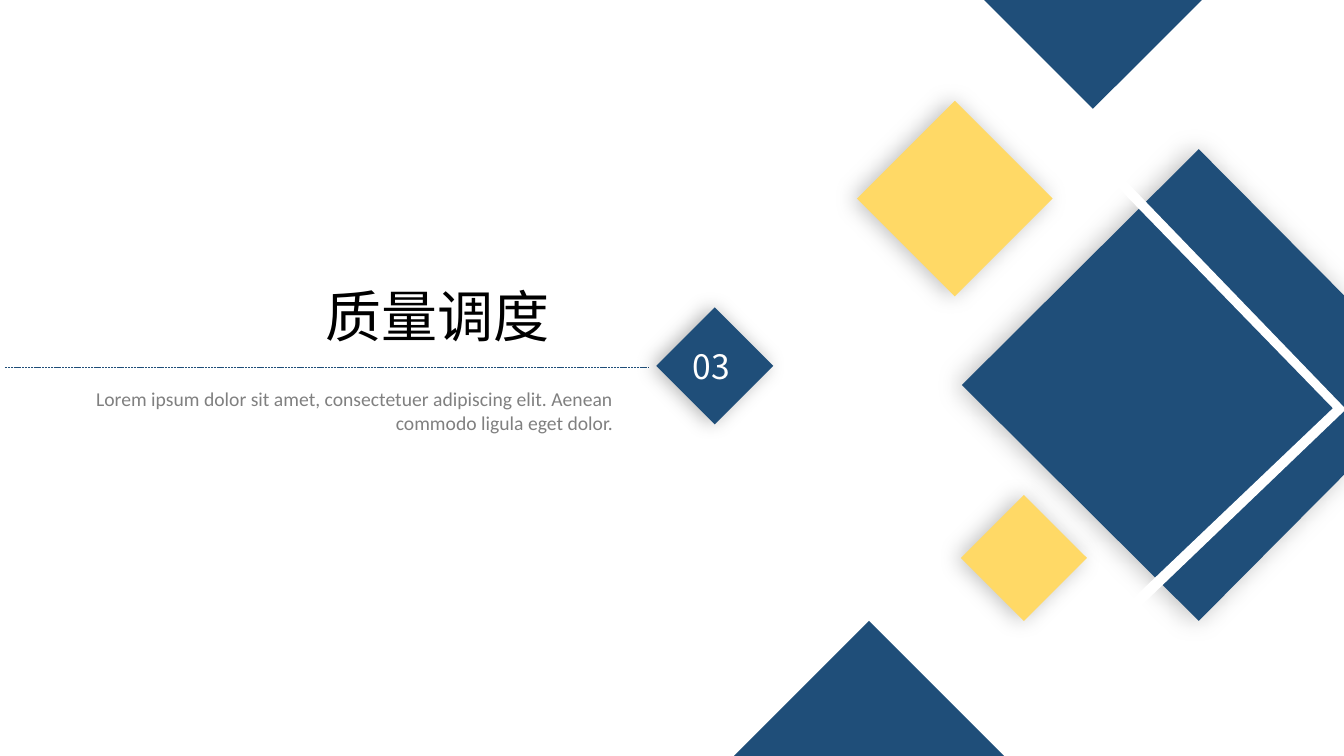
from lxml.etree import SubElement
from pptx import Presentation
from pptx.dml.color import RGBColor
from pptx.enum.dml import MSO_LINE
from pptx.enum.shapes import MSO_CONNECTOR, MSO_SHAPE
from pptx.enum.text import MSO_ANCHOR, MSO_AUTO_SIZE as AUTO_SIZE, PP_ALIGN as ALIGN
from pptx.oxml.ns import qn
from pptx.util import Inches, Pt

NAVY = RGBColor(0x1F, 0x4E, 0x79)
YELLOW = RGBColor(0xFF, 0xD9, 0x66)
GRAY = RGBColor(0x80, 0x80, 0x80)
BLACK = RGBColor(0, 0, 0)
WHITE = RGBColor(0xFF, 0xFF, 0xFF)
CJK_FONT = "Noto Sans CJK SC"
LATIN_FONT = "Calibri"


def add_soft_shadow(shape, blur, opacity):
    """Cast a blurred black shadow to the left of the shape."""
    effects = shape._element.spPr.find(qn("a:effectLst"))
    shadow = SubElement(effects, qn("a:outerShdw"), blurRad=str(Pt(blur)),
                        dist=str(Pt(3)), dir=str(180 * 60000),
                        algn="r", rotWithShape="0")
    color = SubElement(shadow, qn("a:srgbClr"), val=str(BLACK))
    SubElement(color, qn("a:alpha"), val=str(opacity * 1000))


def paint(shape, color, blur=0, opacity=25):
    shape.shadow.inherit = False
    shape.fill.solid()
    shape.fill.fore_color.rgb = color
    shape.line.fill.background()
    if blur:
        add_soft_shadow(shape, blur, opacity)


def add_diamond(slide, left, top, size, color, **shadow):
    diamond = slide.shapes.add_shape(MSO_SHAPE.DIAMOND, Inches(left), Inches(top),
                                     Inches(size), Inches(size))
    paint(diamond, color, **shadow)


def add_polygon(slide, left, top, points, color, **shadow):
    """Draw a closed outline whose points are offsets from left and top."""
    corners = [(Inches(left + x), Inches(top + y)) for x, y in points]
    builder = slide.shapes.build_freeform(*corners[0])
    builder.add_line_segments(corners[1:], close=True)
    paint(builder.convert_to_shape(), color, **shadow)


def write_text(holder, text, size, font, color, align=ALIGN.LEFT, wrap=False):
    frame = holder.text_frame
    frame.text = text
    frame.word_wrap = wrap
    frame.auto_size = AUTO_SIZE.SHAPE_TO_FIT_TEXT
    frame.vertical_anchor = MSO_ANCHOR.TOP
    paragraph = frame.paragraphs[0]
    paragraph.alignment = align
    run = paragraph.runs[0]
    run.font.size = Pt(size)
    run.font.name = font
    run.font.color.rgb = color
    SubElement(run._r.get_or_add_rPr(), qn("a:ea"), typeface=font)


def add_text(slide, left, top, width, height, text, **text_format):
    box = slide.shapes.add_textbox(Inches(left), Inches(top), Inches(width), Inches(height))
    write_text(box, text, **text_format)


def add_edge_triangles(slide, left, top, height):
    """Place one triangle hanging from the top edge and one standing on the bottom."""
    hanging, standing = 1.08, 1.34
    add_polygon(slide, left + 2.48, top,
                [(0, 0), (2 * hanging, 0), (hanging, hanging)], NAVY)
    add_polygon(slide, left, top + height - standing,
                [(standing, 0), (2 * standing, standing), (0, standing)], NAVY)


def add_large_diamond(slide, left, top):
    """Draw the diamond cut by the slide's right edge, with its white chevron."""
    add_polygon(slide, left, top,
                [(2.35, 0), (3.8, 1.46), (3.8, 3.22), (2.35, 4.68), (0, 2.34)],
                NAVY, blur=18)
    add_polygon(slide, left, top,
                [(1.62, 0.31), (3.8, 2.57), (3.8, 2.59), (1.63, 4.67),
                 (1.56, 4.59), (3.68, 2.57), (1.55, 0.38)], WHITE)


def add_decoration(slide, left, top, height):
    add_diamond(slide, left + 1.22, top + 1, 1.94, YELLOW, blur=16)
    add_edge_triangles(slide, left, top, height)
    add_large_diamond(slide, left + 2.26, top + 1.48)
    add_diamond(slide, left + 2.25, top + 4.91, 1.25, YELLOW, blur=16)


def add_section_heading(slide, left, top, width):
    """Place the title, dashed rule, summary and numbered diamond."""
    title = slide.shapes.title
    title.left, title.top = Inches(left + 3.08), Inches(top)
    title.width, title.height = Inches(2.45), Inches(0.77)
    write_text(title, "质量调度", size=40, font=CJK_FONT, color=BLACK)

    rule_y = Inches(top + 0.9)
    rule = slide.shapes.add_connector(MSO_CONNECTOR.STRAIGHT, Inches(left), rule_y,
                                      Inches(left + width - 1.24), rule_y)
    rule.line.color.rgb = NAVY
    rule.line.width = Pt(0.5)
    rule.line.dash_style = MSO_LINE.SQUARE_DOT
    SubElement(rule._element.spPr, qn("a:effectLst"))

    add_diamond(slide, left + width - 1.16, top + 0.31, 1.16, NAVY, blur=14, opacity=30)
    add_text(slide, left + 0.32, top + 1.05, 5.81, 0.57,
             "Lorem ipsum dolor sit amet, consectetuer adipiscing elit. "
             "Aenean commodo ligula eget dolor.",
             size=14, font=LATIN_FONT, color=GRAY, align=ALIGN.RIGHT, wrap=True)
    add_text(slide, left + width - 0.9, top + 0.64, 0.6, 0.5, "03",
             size=24, font=CJK_FONT, color=WHITE)


def main():
    deck = Presentation()
    deck.slide_width, deck.slide_height = Inches(13.33), Inches(7.5)
    slide = deck.slides.add_slide(deck.slide_layouts[5])
    slide.background.fill.solid()
    slide.background.fill.fore_color.rgb = WHITE
    add_decoration(slide, left=7.28, top=0, height=7.5)
    add_section_heading(slide, left=0.05, top=2.74, width=7.62)
    deck.save("out.pptx")


if __name__ == "__main__":
    main()
